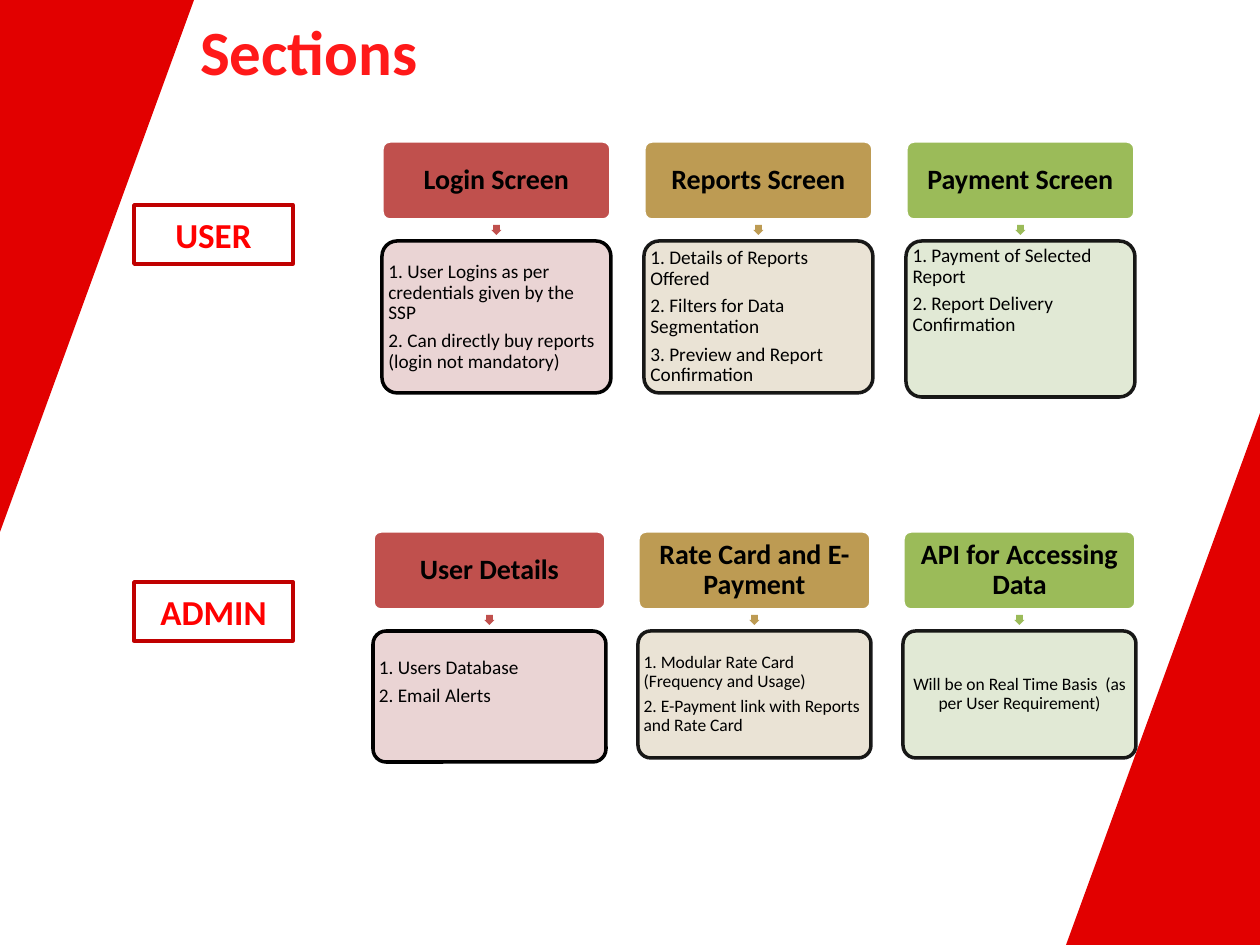
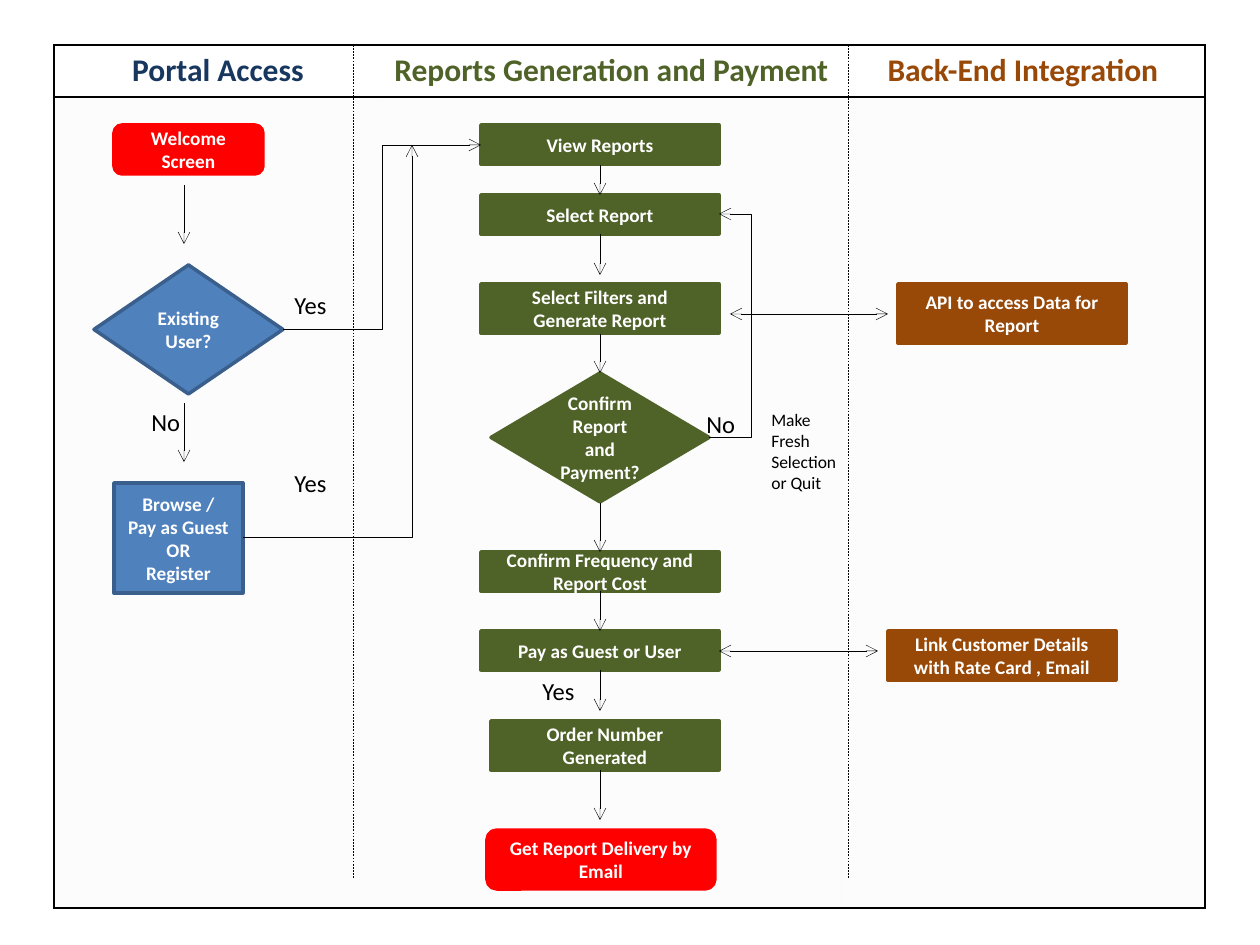
from dataclasses import dataclass

from lxml.etree import SubElement
from pptx import Presentation
from pptx.dml.color import RGBColor
from pptx.enum.dml import MSO_LINE_DASH_STYLE as DASH
from pptx.enum.shapes import MSO_CONNECTOR as CONNECTOR
from pptx.enum.shapes import MSO_SHAPE as SHAPE
from pptx.enum.text import MSO_ANCHOR as ANCHOR
from pptx.enum.text import MSO_AUTO_SIZE as AUTO_SIZE
from pptx.enum.text import PP_ALIGN as ALIGN
from pptx.oxml.ns import qn
from pptx.util import Pt

EMU_PER_PX = 914400 / 126


@dataclass(frozen=True)
class Theme:
    font: str = "Calibri"
    black: str = "000000"
    white: str = "FFFFFF"
    title: str = "FF1919"
    wedge: str = "E20000"
    red: str = "FF0000"
    tag_line: str = "C00000"
    blue: str = "4F81BD"
    blue_line: str = "3A5F8C"
    navy: str = "17375E"
    green: str = "4F6228"
    brown: str = "984807"
    lane: str = "F2F2F2"
    headers: tuple = ("C0504D", "BD9B53", "9BBB59")
    bodies: tuple = ("E8D0D0", "E8E1D1", "DEE7D1")
    title_size: int = 36
    tag_size: int = 20
    lane_size: int = 18
    header_size: int = 16
    label_size: int = 14
    text_size: int = 11
    small_size: int = 10


THEME = Theme()


def px(value):
    return round(value * EMU_PER_PX)


def rgb(colour):
    return RGBColor.from_string(colour)


def apply(target, formats):
    for name, value in formats.items():
        setattr(target, name, value)


def set_alpha(element, path, percent):
    for colour in element.iterfind(f"{path}/{qn('a:srgbClr')}"):
        SubElement(colour, qn("a:alpha"), val=str(percent * 1000))


def write(frame, text, size, colour, bold=False, align=ALIGN.LEFT, insets=None, paragraph_format=None, **formats):
    apply(frame, {"word_wrap": True, "auto_size": AUTO_SIZE.NONE, **formats})
    for side, inset in (insets or {}).items():
        setattr(frame, f"margin_{side}", px(inset))
    for index, line in enumerate(text.split("\n")):
        paragraph = frame.add_paragraph() if index else frame.paragraphs[0]
        apply(paragraph, {"alignment": align, **(paragraph_format or {})})
        run = paragraph.add_run()
        run.text = line
        apply(run.font, {"name": THEME.font, "size": Pt(size), "bold": bold})
        run.font.color.rgb = rgb(colour)


def add_block(slide, kind, box, fill, line=None, adjustments=(), rotation=0):
    shape = slide.shapes.add_shape(kind, *map(px, box))
    shape.shadow.inherit = False
    shape.rotation = rotation
    shape.fill.solid()
    shape.fill.fore_color.rgb = rgb(fill)
    if line:
        shape.line.color.rgb = rgb(line)
        shape.line.width = Pt(2)
    else:
        shape.line.fill.background()
    for index, value in enumerate(adjustments):
        shape.adjustments[index] = value
    return shape


def add_title(slide, text):
    title = slide.shapes.title
    apply(title, dict(zip(("left", "top", "width", "height"), map(px, (174, 6, 1086, 90)))))
    write(title.text_frame, text, THEME.title_size, THEME.title, bold=True,
          insets={"left": 26}, vertical_anchor=ANCHOR.TOP)


def add_tag(slide, top, text):
    tag = add_block(slide, SHAPE.RECTANGLE, (134, top, 159, 59), THEME.white, THEME.tag_line)
    write(tag.text_frame, text, THEME.tag_size, THEME.red, bold=True,
          align=ALIGN.CENTER, vertical_anchor=ANCHOR.MIDDLE)


def add_card_text(shape, text, size, bold=False, align=ALIGN.LEFT, bottom=2):
    write(shape.text_frame, text, size, THEME.black, bold, align,
          insets={"left": 2, "top": 2, "right": 2, "bottom": bottom},
          paragraph_format={"line_spacing": 0.9, "space_after": Pt(0.35 * size)},
          vertical_anchor=ANCHOR.MIDDLE)


def add_card_row(slide, left, top, width, pitch, cards):
    for column, (heading, text, height, size, align, bottom) in enumerate(cards):
        x = left + column * pitch
        colour = THEME.headers[column]
        header = add_block(slide, SHAPE.ROUNDED_RECTANGLE, (x, top, width, 79), colour, THEME.white, (0.1,))
        add_card_text(header, heading, THEME.header_size, bold=True, align=ALIGN.CENTER)
        add_block(slide, SHAPE.DOWN_ARROW, (x + width / 2 - 5, top + 84, 10, 10), colour, adjustments=(0.67, 0.5))
        body = add_block(slide, SHAPE.ROUNDED_RECTANGLE, (x, top + 100, width, height),
                         THEME.bodies[column], THEME.black, (0.1,))
        properties = body._element.spPr
        set_alpha(properties, qn("a:solidFill"), 90)
        if column:
            set_alpha(properties, f"{qn('a:ln')}/{qn('a:solidFill')}", 90)
        add_card_text(body, text, size, align=align, bottom=bottom)


def add_node(slide, kind, box, text, fill, line=None):
    node = add_block(slide, kind, box, fill, line or fill)
    write(node.text_frame, text, THEME.text_size, THEME.white, bold=True,
          align=ALIGN.CENTER, vertical_anchor=ANCHOR.MIDDLE)


def add_label(slide, box, text, size=THEME.label_size, wrap=False):
    label = slide.shapes.add_textbox(*map(px, box))
    write(label.text_frame, text, size, THEME.black, word_wrap=wrap)


def add_line(slide, start, end, kind=CONNECTOR.STRAIGHT, ends=("tailEnd",), dash=None):
    connector = slide.shapes.add_connector(kind, *map(px, (*start, *end)))
    connector.line.color.rgb = rgb(THEME.black)
    connector.line.width = Pt(0.25)
    if dash:
        connector.line.dash_style = dash
    properties = connector._element.spPr
    for end_name in ends:
        SubElement(properties.find(qn("a:ln")), qn(f"a:{end_name}"), type="arrow")
    SubElement(properties, qn("a:effectLst"))
    return properties.find(qn("a:prstGeom"))


def set_borders(cell, visible):
    properties = cell._tc.get_or_add_tcPr()
    for side in "LRTB":
        if side in visible:
            line = SubElement(properties, qn(f"a:ln{side}"), w=str(Pt(1)))
            fill = SubElement(line, qn("a:solidFill"))
            SubElement(fill, qn("a:srgbClr"), val=THEME.black)
        else:
            line = SubElement(properties, qn(f"a:ln{side}"), w="0")
            SubElement(line, qn("a:noFill"))


def add_lanes(slide, lanes):
    table = slide.shapes.add_table(2, len(lanes), *map(px, (54, 45, 1151, 863))).table
    apply(table, {"first_row": False, "horz_banding": False})
    for row, height in zip(table.rows, (52, 811)):
        row.height = px(height)
    for column, (heading, colour, width, side) in enumerate(lanes):
        table.columns[column].width = px(width)
        header, body = table.cell(0, column), table.cell(1, column)
        set_borders(header, "TB" + side)
        header.fill.background()
        apply(header, {"margin_left": px(4), "margin_right": px(4)})
        write(header.text_frame, heading, THEME.lane_size, colour, bold=True, align=ALIGN.CENTER)
        set_borders(body, "TB" + side)
        body.fill.solid()
        body.fill.fore_color.rgb = rgb(THEME.lane)
        set_alpha(body._tc.tcPr, qn("a:solidFill"), 20)


def build_sections(presentation):
    slide = presentation.slides.add_slide(presentation.slide_layouts[5])
    add_block(slide, SHAPE.RIGHT_TRIANGLE, (-169, 169, 532, 194), THEME.wedge, rotation=90)
    add_block(slide, SHAPE.RIGHT_TRIANGLE, (897, 582, 532, 194), THEME.wedge, rotation=270)
    add_title(slide, "Sections")
    normal, small = THEME.text_size, THEME.small_size
    add_card_row(slide, 382, 141, 229, 262, (
        ("Login Screen", "1. User Logins as per credentials given by the SSP\n"
         "2. Can directly buy reports (login not mandatory)", 152, normal, ALIGN.LEFT, 2),
        ("Reports Screen", "1. Details of Reports Offered\n2. Filters for Data Segmentation\n"
         "3. Preview and Report Confirmation", 152, normal, ALIGN.LEFT, 2),
        ("Payment Screen", "1. Payment of Selected Report\n2. Report Delivery Confirmation",
         156, normal, ALIGN.LEFT, 58),
    ))
    add_card_row(slide, 373, 531, 233, 265, (
        ("User Details", "1. Users Database\n2. Email Alerts", 131, normal, ALIGN.LEFT, 30),
        ("Rate Card and E-Payment", "1. Modular Rate Card (Frequency and Usage)\n"
         "2. E-Payment link with Reports and Rate Card", 127, small, ALIGN.LEFT, 2),
        ("API for Accessing Data", "Will be on Real Time Basis  (as per User Requirement)",
         127, small, ALIGN.CENTER, 2),
    ))
    add_tag(slide, 205, "USER")
    add_tag(slide, 582, "ADMIN")


def build_flow(presentation):
    slide = presentation.slides.add_slide(presentation.slide_layouts[6])
    add_lanes(slide, (
        ("Portal Access", THEME.navy, 328, "L"),
        ("Reports Generation and Payment", THEME.green, 459, ""),
        ("Back-End Integration", THEME.brown, 364, "R"),
    ))
    for x in (353, 848):
        add_line(slide, (x, 45), (x, 879), ends=(), dash=DASH.DASH)

    add_node(slide, SHAPE.ROUNDED_RECTANGLE, (114, 125, 149, 49), "Welcome\nScreen", THEME.red)
    add_node(slide, SHAPE.DIAMOND, (94, 265, 189, 129), "Existing\nUser?", THEME.blue, THEME.blue_line)
    add_node(slide, SHAPE.RECTANGLE, (114, 483, 129, 110), "Browse / Pay as Guest\nOR\nRegister",
             THEME.blue, THEME.blue_line)
    for top, text in ((125, "View Reports"), (195, "Select Report"),
                      (552, "Confirm Frequency and Report Cost"), (631, "Pay as Guest or User")):
        add_node(slide, SHAPE.RECTANGLE, (481, top, 238, 39), text, THEME.green)
    add_node(slide, SHAPE.RECTANGLE, (481, 284, 238, 49), "Select Filters and Generate Report", THEME.green)
    add_node(slide, SHAPE.DIAMOND, (491, 373, 218, 129), "Confirm Report and Payment?", THEME.green)
    add_node(slide, SHAPE.RECTANGLE, (491, 721, 228, 49), "Order Number Generated", THEME.green)
    add_node(slide, SHAPE.ROUNDED_RECTANGLE, (487, 830, 228, 59), "Get Report Delivery by Email", THEME.red)
    add_node(slide, SHAPE.RECTANGLE, (898, 284, 228, 59), "API to access Data for Report", THEME.brown)
    add_node(slide, SHAPE.RECTANGLE, (888, 631, 228, 49), "Link Customer Details with Rate Card , Email",
             THEME.brown)

    for x, spans in (
        (184, ((185, 244), (403, 462))),
        (600, ((165, 195), (234, 275), (334, 373), (503, 552), (591, 631), (670, 711), (770, 820))),
    ):
        for start, end in spans:
            add_line(slide, (x, start), (x, end))
    for y, start, end in ((314, 730, 888), (651, 719, 878)):
        add_line(slide, (start, y), (end, y), ends=("headEnd", "tailEnd"))

    add_line(slide, (283, 329), (481, 145), CONNECTOR.ELBOW)
    guest = add_line(slide, (243, 537), (412, 145), CONNECTOR.ELBOW)
    guest.set("prst", "bentConnector2")
    retry = add_line(slide, (709, 437), (719, 214), CONNECTOR.ELBOW)
    SubElement(retry.find(qn("a:avLst")), qn("a:gd"), name="adj1", fmla="val 417500")

    for x, y, width, text in ((139, 401, 54, "No"), (694, 403, 54, "No"), (282, 284, 58, "Yes"),
                              (282, 462, 58, "Yes"), (530, 670, 58, "Yes")):
        add_label(slide, (x, y, width, 43), text)
    add_label(slide, (759, 403, 100, 97), "Make Fresh Selection or Quit", THEME.small_size, wrap=True)


def main():
    presentation = Presentation()
    apply(presentation, {"slide_width": px(1260), "slide_height": px(945)})
    build_sections(presentation)
    build_flow(presentation)
    presentation.save("out.pptx")


if __name__ == "__main__":
    main()
